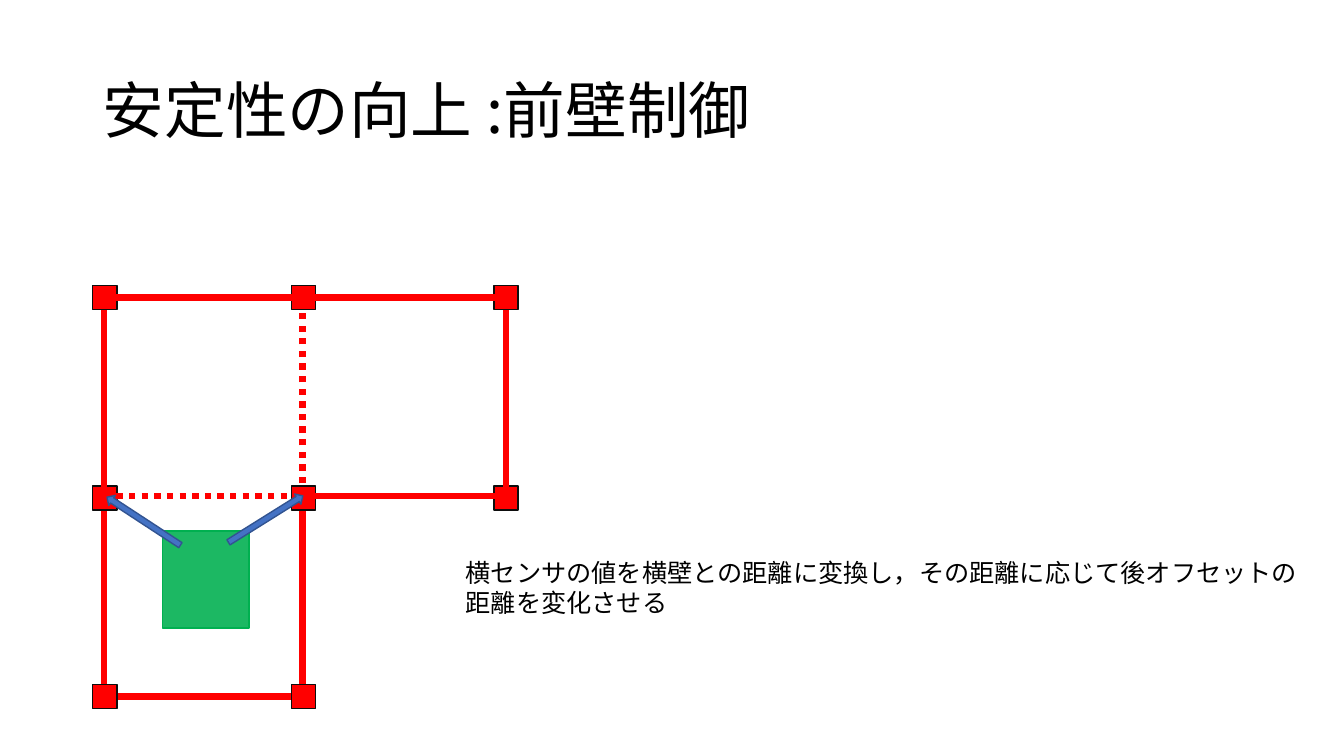
from dataclasses import dataclass

from lxml.etree import SubElement
from pptx import Presentation
from pptx.dml.color import RGBColor
from pptx.enum.dml import MSO_LINE
from pptx.enum.shapes import MSO_CONNECTOR, MSO_SHAPE
from pptx.enum.text import MSO_ANCHOR, MSO_AUTO_SIZE, PP_ALIGN
from pptx.oxml.ns import qn
from pptx.util import Inches, Pt

TITLE = "安定性の向上 :前壁制御"
EXPLANATION = "横センサの値を横壁との距離に変換し，その距離に応じて後オフセットの距離を変化させる"

COLUMNS = [1.03, 3, 5.02]
ROWS = [2.95, 4.92, 6.91]
POST_LEFTS = [0.92, 2.89, 4.9]
POST_TOPS = [2.83, 4.82, 6.79]
POST_SIZE = 0.24

MAZE = [
    ("wall", (1, 2), (1, 1)),
    ("wall", (0, 2), (1, 2)),
    ("post", (1, 2)),
    ("wall", (0, 2), (0, 1)),
    ("post", (0, 2)),
    ("post", (1, 1)),
    ("post", (0, 1)),
    ("opening", (1, 1), (1, 0)),
    ("opening", (0, 1), (1, 1)),
    ("wall", (0, 1), (0, 0)),
    ("post", (1, 0)),
    ("post", (0, 0)),
    ("wall", (0, 0), (1, 0)),
    ("post", (2, 1)),
    ("wall", (2, 1), (2, 0)),
    ("wall", (1, 1), (2, 1)),
    ("post", (2, 0)),
    ("wall", (1, 0), (2, 0)),
]
ROBOT = (1.61, 5.27, 0.86, 0.96)
SENSOR_BEAMS = [
    ((2.2, 5.09, 0.87, 0.12), 328),
    ((0.99, 5.11, 0.87, 0.12), 213.2),
]


@dataclass(frozen=True)
class Theme:
    font: str = "Noto Sans CJK JP"
    title_size: int = 44
    body_size: int = 18
    wall_width: float = 4.5
    outline_width: float = 1
    text: str = "000000"
    wall: str = "FF0000"
    post_outline: str = "0D0D0D"
    robot: str = "00B050"
    robot_opacity: int = 89
    beam: str = "4472C4"
    beam_outline: str = "325491"


THEME = Theme()


def write_text(frame, text, *, size, anchor, line_spacing=None):
    frame.word_wrap = True
    frame.vertical_anchor = anchor
    paragraph = frame.paragraphs[0]
    paragraph.alignment = PP_ALIGN.LEFT
    paragraph.line_spacing = line_spacing
    run = paragraph.add_run()
    run.text = text
    run.font.size = Pt(size)
    run.font.name = THEME.font
    run.font.color.rgb = RGBColor.from_string(THEME.text)
    east_asian = SubElement(run.font._element, qn("a:ea"))
    east_asian.set("typeface", THEME.font)


def add_block(slide, kind, box, fill, outline, rotation=0, opacity=100):
    shape = slide.shapes.add_shape(kind, *map(Inches, box))
    shape.shadow.inherit = False
    shape.rotation = rotation
    shape.fill.solid()
    shape.fill.fore_color.rgb = RGBColor.from_string(fill)
    shape.line.color.rgb = RGBColor.from_string(outline)
    shape.line.width = Pt(THEME.outline_width)
    if opacity < 100:
        color = shape.fill._xPr.find(qn("a:solidFill"))[0]
        SubElement(color, qn("a:alpha")).set("val", str(opacity * 1000))


def add_wall(slide, start, end, dotted):
    points = [(COLUMNS[column], ROWS[row]) for column, row in (start, end)]
    ends = [Inches(value) for point in points for value in point]
    connector = slide.shapes.add_connector(MSO_CONNECTOR.STRAIGHT, *ends)
    connector.line.color.rgb = RGBColor.from_string(THEME.wall)
    connector.line.width = Pt(THEME.wall_width)
    if dotted:
        connector.line.dash_style = MSO_LINE.ROUND_DOT
    SubElement(connector._element.spPr, qn("a:effectLst"))


def add_post(slide, column, row):
    box = (POST_LEFTS[column], POST_TOPS[row], POST_SIZE, POST_SIZE)
    add_block(slide, MSO_SHAPE.RECTANGLE, box, THEME.wall, THEME.post_outline)


def main():
    presentation = Presentation()
    presentation.slide_width = Inches(13.33)
    presentation.slide_height = Inches(7.5)
    slide = presentation.slides.add_slide(presentation.slide_layouts[5])

    title = slide.shapes.title
    title.left, title.top = Inches(0.92), Inches(0.4)
    title.width, title.height = Inches(11.5), Inches(1.45)
    title.text_frame.auto_size = MSO_AUTO_SIZE.NONE
    write_text(title.text_frame, TITLE, size=THEME.title_size,
               anchor=MSO_ANCHOR.MIDDLE, line_spacing=0.9)

    for kind, *places in MAZE:
        if kind == "post":
            add_post(slide, *places[0])
        else:
            add_wall(slide, *places, dotted=kind == "opening")

    explanation = slide.shapes.add_textbox(*map(Inches, (4.52, 5.48, 8.48, 0.71)))
    explanation.text_frame.auto_size = MSO_AUTO_SIZE.SHAPE_TO_FIT_TEXT
    write_text(explanation.text_frame, EXPLANATION, size=THEME.body_size,
               anchor=MSO_ANCHOR.TOP)

    add_block(slide, MSO_SHAPE.RECTANGLE, ROBOT, THEME.robot, THEME.robot,
              opacity=THEME.robot_opacity)
    for box, rotation in SENSOR_BEAMS:
        add_block(slide, MSO_SHAPE.RIGHT_ARROW, box, THEME.beam,
                  THEME.beam_outline, rotation=rotation)

    presentation.save("out.pptx")


if __name__ == "__main__":
    main()
